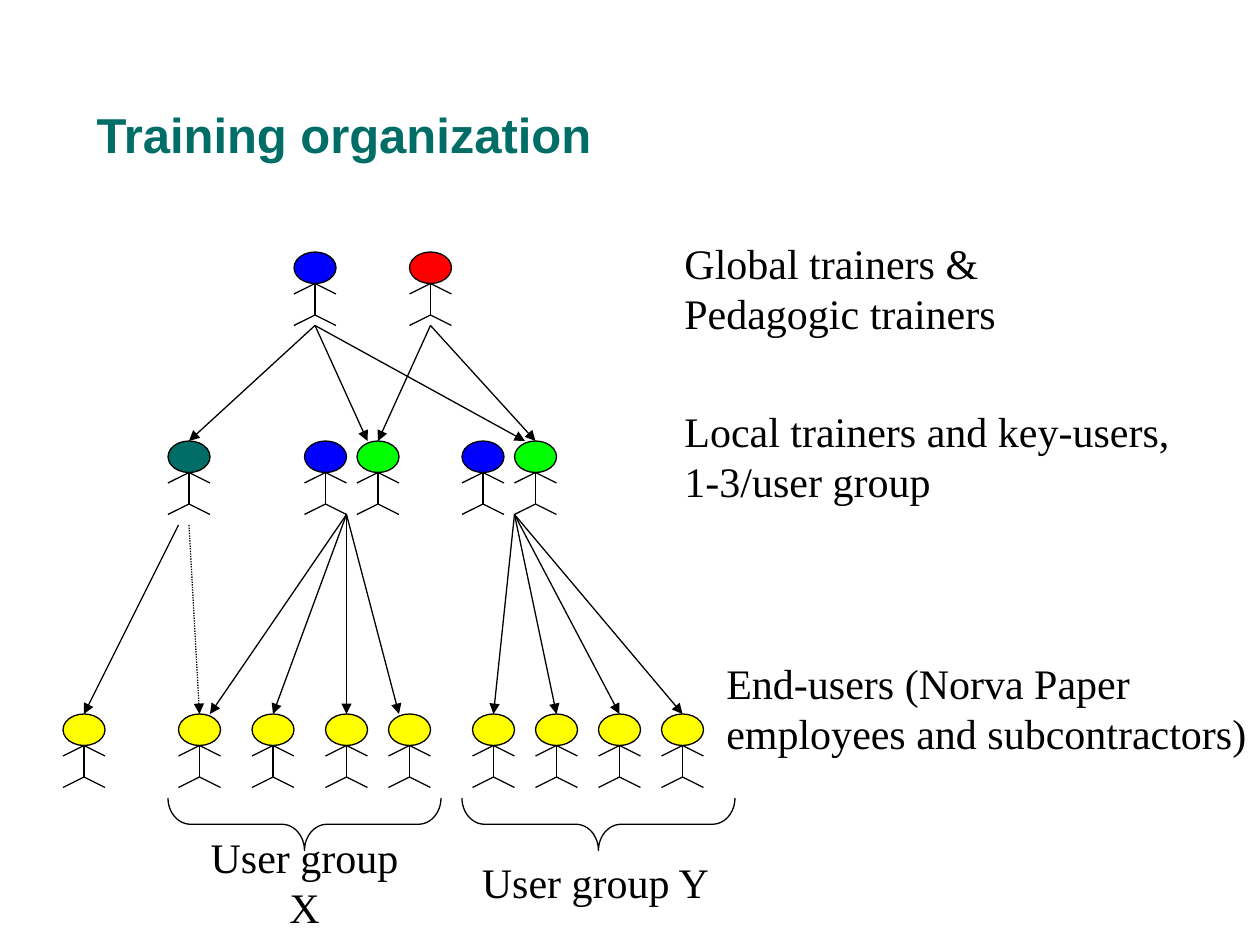
"""Build the training organization slide on a grid of twelfths of an inch."""
from dataclasses import dataclass

from lxml import etree
from pptx import Presentation
from pptx.dml.color import RGBColor
from pptx.enum.dml import MSO_LINE
from pptx.enum.shapes import MSO_CONNECTOR, MSO_SHAPE
from pptx.enum.text import MSO_ANCHOR, MSO_AUTO_SIZE, PP_ALIGN
from pptx.oxml.ns import qn
from pptx.slide import Slide
from pptx.util import Cm, Pt

STRAIGHT = MSO_CONNECTOR.STRAIGHT
OVAL, BRACE = MSO_SHAPE.OVAL, MSO_SHAPE.LEFT_BRACE
DOTTED = MSO_LINE.ROUND_DOT
LEFT, CENTER = PP_ALIGN.LEFT, PP_ALIGN.CENTER
TOP, MIDDLE = MSO_ANCHOR.TOP, MSO_ANCHOR.MIDDLE
GROW, FIXED = MSO_AUTO_SIZE.SHAPE_TO_FIT_TEXT, MSO_AUTO_SIZE.NONE

COLORS = {
    "black": "000000",
    "teal": "006D66",
    "blue": "0000FF",
    "red": "FF0000",
    "green": "00FF00",
    "yellow": "FFFF00",
}
GLOBAL_Y, LOCAL_Y, USER_Y = 24, 42, 68


@dataclass
class Person:
    x: float
    y: float
    color: str


@dataclass
class Fan:
    x: float
    y: float
    targets: list[float]
    end_y: float
    dotted: bool = False


@dataclass
class Label:
    text: str
    x: float
    y: float
    width: float
    height: float = 10.8
    group: bool = False


PEOPLE = [
    Person(30, GLOBAL_Y, "blue"),
    Person(41, GLOBAL_Y, "red"),
    Person(18, LOCAL_Y, "teal"),
    Person(31, LOCAL_Y, "blue"),
    Person(36, LOCAL_Y, "green"),
    Person(46, LOCAL_Y, "blue"),
    Person(51, LOCAL_Y, "green"),
    *(Person(x, USER_Y, "yellow") for x in (8, 19, 26, 33, 39, 47, 53, 59, 65)),
]
FANS = [
    Fan(30, 31, [18, 35, 50], LOCAL_Y),
    Fan(41, 31, [36, 51], LOCAL_Y),
    Fan(33, 49, [20, 26, 33, 38], USER_Y),
    Fan(49, 49, [47, 53, 59, 65], USER_Y),
    Fan(17, 50, [8], USER_Y),
    Fan(18, 50, [19], USER_Y, dotted=True),
]
LABELS = [
    Label("Global trainers & Pedagogic trainers", 64, 22, 44),
    Label("Local trainers and key-users, 1-3/user group", 64, 38, 52),
    Label("End-users (Norva Paper employees and subcontractors)", 68, 62, 54),
    Label("User group X", 17, 81, 24, 6, group=True),
    Label("User group Y", 44.7, 81, 24, 6, group=True),
]
BRACE_CENTERS = [29, 57]


def grid(n: float) -> Cm:
    """Turn grid steps into a length."""
    return Cm(n * 2.54 / 12)


def rgb(name: str) -> RGBColor:
    """Look up a named colour."""
    return RGBColor.from_string(COLORS[name])


def add_line(s: Slide, x1: float, y1: float, x2: float, y2: float,
             arrow: bool = False, dotted: bool = False) -> None:
    """Draw a thin line, with an arrowhead at its end if wanted."""
    c = s.shapes.add_connector(STRAIGHT, grid(x1), grid(y1), grid(x2), grid(y2))
    c.line.color.rgb = rgb("black")
    c.line.width = Pt(0.75)
    if dotted:
        c.line.dash_style = DOTTED
    if arrow:
        ln = c.line._get_or_add_ln()
        etree.SubElement(ln, qn("a:tailEnd"), type="triangle")
    etree.SubElement(c._element.spPr, qn("a:effectLst"))


def add_person(s: Slide, person: Person) -> None:
    """Draw a stick figure with a coloured head."""
    x, y = person.x, person.y
    sp = s.shapes.add_shape(OVAL, grid(x - 2), grid(y), grid(4), grid(3))
    sp.shadow.inherit = False
    sp.fill.solid()
    sp.fill.fore_color.rgb = rgb(person.color)
    sp.line.color.rgb = rgb("black")
    sp.line.width = Pt(0.75)
    add_line(s, x, y + 3, x, y + 6)
    for joint in (y + 3, y + 6):
        for side in (-2, 2):
            add_line(s, x, joint, x + side, joint + 1)


def add_fan(s: Slide, fan: Fan) -> None:
    """Draw arrows from one point to each target."""
    for x in fan.targets:
        add_line(s, fan.x, fan.y, x, fan.end_y, True, fan.dotted)


def add_brace(s: Slide, center: float) -> None:
    """Draw a brace that opens upward under a user group."""
    sp = s.shapes.add_shape(BRACE, grid(center - 2.5), grid(65.5), grid(5), grid(26))
    sp.rotation = 270
    sp.adjustments[0] = 0.43
    sp.shadow.inherit = False
    sp.fill.background()
    sp.line.color.rgb = rgb("black")
    sp.line.width = Pt(0.75)


def add_label(s: Slide, label: Label) -> None:
    """Add a caption for a level or a user group."""
    sp = s.shapes.add_textbox(grid(label.x), grid(label.y),
                              grid(label.width), grid(label.height))
    tf = sp.text_frame
    tf.word_wrap = not label.group
    tf.auto_size = GROW
    tf.vertical_anchor = MIDDLE if label.group else TOP
    p = tf.paragraphs[0]
    p.alignment = CENTER if label.group else LEFT
    if label.group:
        p.space_before = Pt(15)
    r = p.add_run()
    r.text = label.text
    r.font.name = "Times New Roman"
    r.font.size = Pt(24)
    r.font.color.rgb = rgb("black")


def add_title(s: Slide, text: str) -> None:
    """Place and format the title placeholder."""
    sp = s.shapes.title
    sp.left, sp.top, sp.width, sp.height = grid(8), grid(7), grid(101.5), grid(12)
    tf = sp.text_frame
    tf.auto_size = FIXED
    tf.vertical_anchor = MIDDLE
    p = tf.paragraphs[0]
    p.alignment = LEFT
    p.line_spacing = 0.95
    r = p.add_run()
    r.text = text
    r.font.name = "Arial"
    r.font.size = Pt(28)
    r.font.bold = True
    r.font.color.rgb = rgb("teal")


def main() -> None:
    """Build and save the slide."""
    prs = Presentation()
    prs.slide_width, prs.slide_height = Cm(25.4), Cm(19.05)
    s = prs.slides.add_slide(prs.slide_layouts[5])
    add_title(s, "Training organization")
    for fan in FANS:
        add_fan(s, fan)
    for person in PEOPLE:
        add_person(s, person)
    for center in BRACE_CENTERS:
        add_brace(s, center)
    for label in LABELS:
        add_label(s, label)
    prs.save("out.pptx")


if __name__ == "__main__":
    main()
